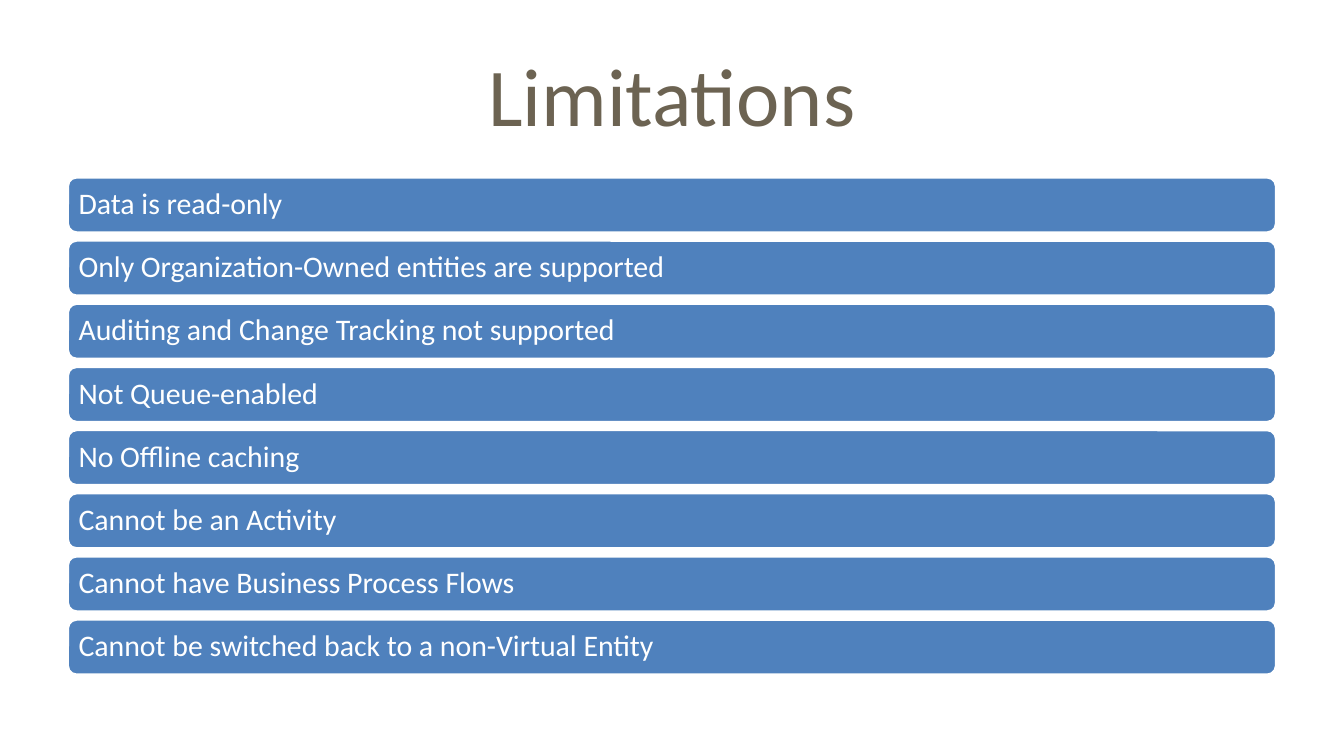
"""Build the Limitations slide: a title above a stack of equal bars."""
from pptx import Presentation
from pptx.dml.color import RGBColor
from pptx.enum.shapes import MSO_SHAPE as Shape
from pptx.enum.text import MSO_ANCHOR as Anchor, PP_ALIGN as Align
from pptx.util import Pt

TITLE = "Limitations"
LIMITATIONS = [
    "Data is read-only",
    "Only Organization-Owned entities are supported",
    "Auditing and Change Tracking not supported",
    "Not Queue-enabled",
    "No Offline caching",
    "Cannot be an Activity",
    "Cannot have Business Process Flows",
    "Cannot be switched back to a non-Virtual Entity",
]
COLORS = {"title": "6C6352", "bar": "4F81BD", "white": "FFFFFF"}
FONT = "Calibri"
EMU_PER_PX = 4572
SLIDE_WIDTH, SLIDE_HEIGHT = 2000, 1125
MARGIN = 100
CONTENT_WIDTH = SLIDE_WIDTH - 2 * MARGIN
TITLE_TOP, TITLE_HEIGHT = 45, 188
BARS_TOP, BAR_HEIGHT, BAR_GAP = 263, 84, 10
TITLE_INSET, BAR_INSET = 10, 13


def px(length):
    return length * EMU_PER_PX


def color(name):
    return RGBColor.from_string(COLORS[name])


def write(box, text, *, size, fill, inset, align=Align.LEFT, spacing=1.0):
    frame = box.text_frame
    frame.word_wrap = True
    frame.vertical_anchor = Anchor.MIDDLE
    frame.margin_left = frame.margin_right = px(inset)
    frame.margin_top = frame.margin_bottom = px(inset)
    para = frame.paragraphs[0]
    para.alignment = align
    para.line_spacing = spacing
    span = para.add_run()
    span.text = text
    span.font.name = FONT
    span.font.size = Pt(size)
    span.font.color.rgb = color(fill)


def add_bar(slide, row, text):
    top = BARS_TOP + row * (BAR_HEIGHT + BAR_GAP)
    bar = slide.shapes.add_shape(
        Shape.ROUNDED_RECTANGLE,
        px(MARGIN), px(top), px(CONTENT_WIDTH), px(BAR_HEIGHT))
    bar.shadow.inherit = False
    bar.fill.solid()
    bar.fill.fore_color.rgb = color("bar")
    bar.line.color.rgb = color("white")
    bar.line.width = Pt(2)
    write(bar, text, size=16, fill="white", inset=BAR_INSET, spacing=0.9)


def main():
    deck = Presentation()
    deck.slide_width, deck.slide_height = px(SLIDE_WIDTH), px(SLIDE_HEIGHT)
    slide = deck.slides.add_slide(deck.slide_layouts[6])
    title = slide.shapes.add_textbox(
        px(MARGIN), px(TITLE_TOP), px(CONTENT_WIDTH), px(TITLE_HEIGHT))
    write(title, TITLE, size=44, fill="title", inset=TITLE_INSET, align=Align.CENTER)
    for row, text in enumerate(LIMITATIONS):
        add_bar(slide, row, text)
    deck.save("out.pptx")


if __name__ == "__main__":
    main()
